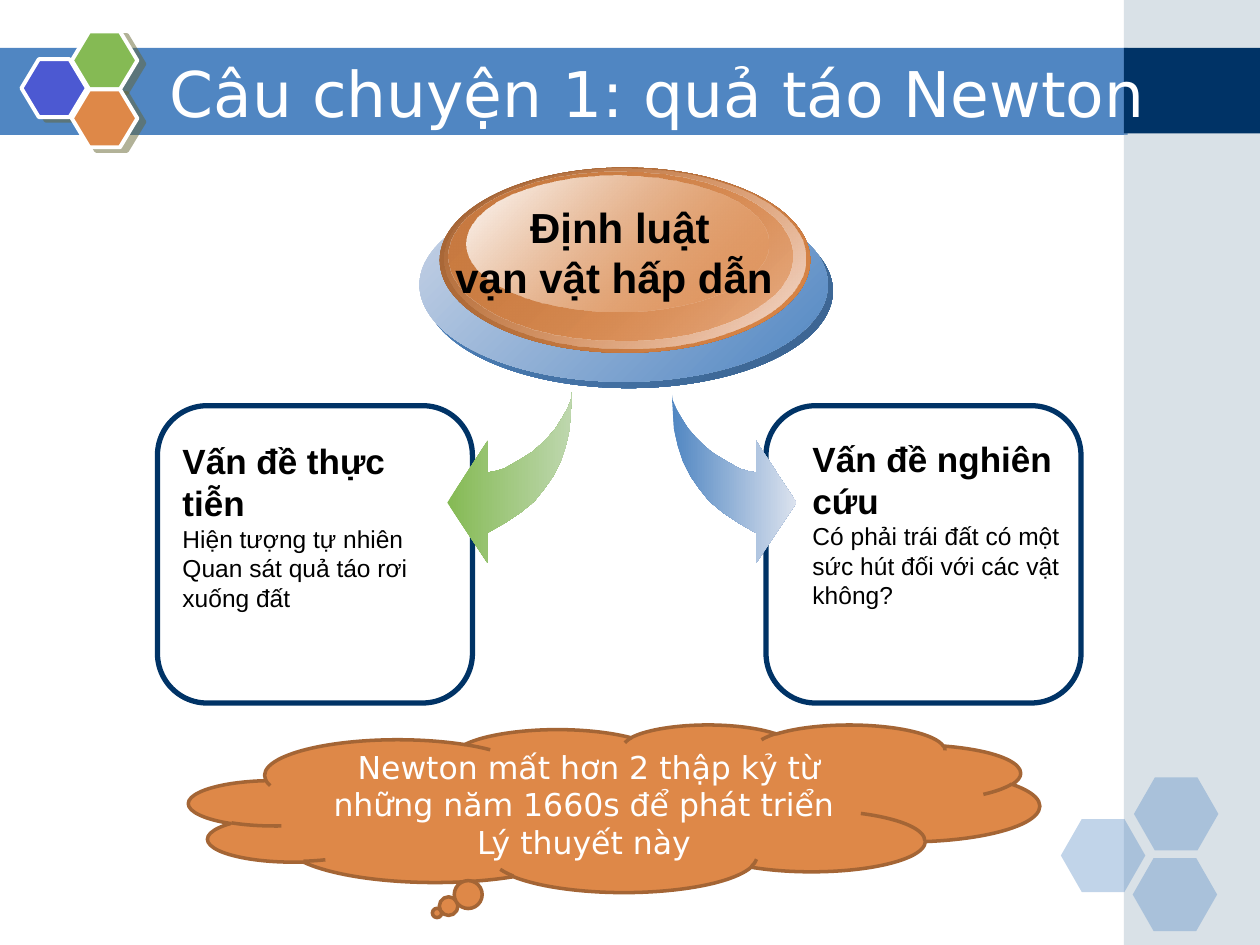
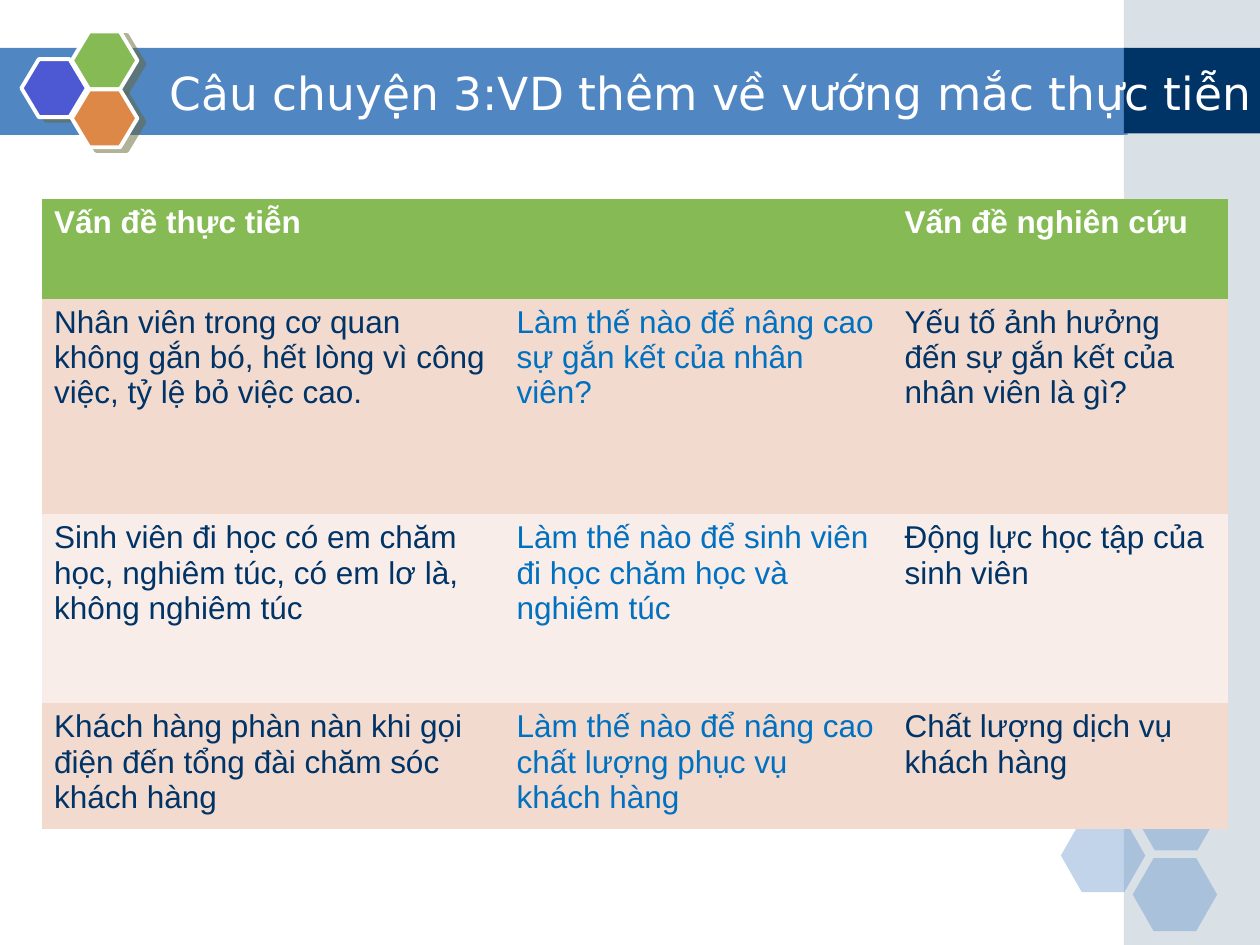
"""Build two slides on turning practical problems into research problems."""
from typing import NamedTuple, Optional

from lxml.etree import SubElement
from pptx import Presentation
from pptx.dml.color import RGBColor
from pptx.enum.shapes import MSO_SHAPE as Preset
from pptx.enum.text import MSO_ANCHOR as Anchor, MSO_AUTO_SIZE as AutoSize, PP_ALIGN as Align
from pptx.oxml.ns import qn
from pptx.util import Inches, Pt

BLUE, NAVY, GREEN, ORANGE = "5086C2", "003366", "85BA54", "DE8848"
INDIGO, WHITE, BLACK, GREY_BLUE = "4C59D2", "FFFFFF", "000000", "A0B5C4"
SHADOW, BROWN, QUESTION_BLUE = "666633", "A46535", "0070C0"
ROW_FILLS = ("F2DACF", "F9EDE9")
BODY_FONT, TITLE_FONT = "Arial", "DejaVu Sans"
NO_GRID_STYLE = "{2D5ABB26-0587-4C30-8999-92F81FD0307C}"


class Box(NamedTuple):
    """Position and size in inches."""
    left: float
    top: float
    width: float
    height: float

    def lengths(self) -> list:
        """Return the four values as lengths."""
        return [Inches(value) for value in self]


class Style(NamedTuple):
    """Look of a run of text."""
    size: float
    color: str = BLACK
    bold: bool = False
    font: str = BODY_FONT


class Stop(NamedTuple):
    """Gradient colour with its opacity in percent."""
    color: str
    opacity: int = 100


class Panel(NamedTuple):
    """Outlined box holding a heading and a description."""
    frame: Box
    text: Box
    heading: str
    description: str


class Disc(NamedTuple):
    """Ellipse layer with a diagonal gradient."""
    box: Box
    start: Stop
    end: Stop


class Arrow(NamedTuple):
    """Curved arrow: tail position, direction and gradient."""
    tail: float
    direction: int
    start: str
    end: str


CORNER_HEXAGONS = [(8.42, 6.5), (9, 6.17), (8.99, 6.81)]
LOGO_HEXAGONS = [(0.17, 0.47, INDIGO), (0.57, 0.25, GREEN), (0.57, 0.71, ORANGE)]

PANELS = [
    Panel(Box(6.08, 3.22, 2.5, 2.36), Box(6.35, 3.42, 2.23, 1.48), "Vấn đề nghiên cứu",
          "Có phải trái đất có một sức hút đối với các vật không?"),
    Panel(Box(1.25, 3.22, 2.5, 2.36), Box(1.35, 3.44, 2.23, 1.48), "Vấn đề thực tiễn",
          "Hiện tượng tự nhiên Quan sát quả táo rơi xuống đất"),
]
DISCS = [
    Disc(Box(3.37, 1.54, 3.24, 1.54), Stop(BLUE), Stop("3A628E")),
    Disc(Box(3.33, 1.49, 3.24, 1.54), Stop("CAD5E7"), Stop(BLUE)),
    Disc(Box(3.49, 1.33, 2.94, 1.47), Stop("9F6134"), Stop(ORANGE)),
    Disc(Box(3.53, 1.34, 2.86, 1.43), Stop(ORANGE, 0), Stop("F4DFD6")),
    Disc(Box(3.56, 1.36, 2.73, 1.34), Stop("C97B41"), Stop(ORANGE, 48)),
    Disc(Box(3.7, 1.39, 2.4, 1.08), Stop(WHITE), Stop(ORANGE, 38)),
]
ARROWS = [Arrow(4.54, -1, GREEN, "BED7AE"), Arrow(5.33, 1, BLUE, "DBE2EE")]
ARROW_TOP = 3.11
ARROW_OUTLINE = [
    (0, 0), (0.01, 0.16), (0.02, 0.3), (0.05, 0.43), (0.09, 0.55), (0.15, 0.67),
    (0.22, 0.77), (0.3, 0.87), (0.41, 0.96), (0.53, 1.04), (0.67, 1.12), (0.67, 1.36),
    (0.99, 0.88), (0.67, 0.39), (0.67, 0.64), (0.61, 0.63), (0.54, 0.61), (0.47, 0.57),
    (0.4, 0.53), (0.32, 0.48), (0.25, 0.42), (0.19, 0.36), (0.13, 0.29), (0.08, 0.21),
    (0.04, 0.14), (0.01, 0.07),
]

COLUMN_WIDTHS = (3.67, 3.08, 2.67)
ROW_HEIGHTS = (0.79, 1.71, 1.5, 0.45)
COLUMN_COLORS = (NAVY, QUESTION_BLUE, NAVY)
TABLE_ROWS = [
    ("Vấn đề thực tiễn", "", "Vấn đề nghiên cứu"),
    ("Nhân viên trong cơ quan không gắn bó, hết lòng vì công việc, tỷ lệ bỏ việc cao.",
     "Làm thế nào để nâng cao sự gắn kết của nhân viên?",
     "Yếu tố ảnh hưởng đến sự gắn kết của nhân viên là gì?"),
    ("Sinh viên đi học có em chăm học, nghiêm túc, có em lơ là, không nghiêm túc",
     "Làm thế nào để sinh viên đi học chăm học và nghiêm túc",
     "Động lực học tập của sinh viên"),
    ("Khách hàng phàn nàn khi gọi điện đến tổng đài chăm sóc khách hàng",
     "Làm thế nào để nâng cao chất lượng phục vụ khách hàng",
     "Chất lượng dịch vụ khách hàng"),
]


def rgb(color: str) -> RGBColor:
    """Turn a hex string into a colour."""
    return RGBColor.from_string(color)


def set_opacity(color_element, percent: int) -> None:
    """Add an alpha value to a colour element."""
    SubElement(color_element, qn("a:alpha"), val=str(percent * 1000))


def add_preset(slide, preset, box: Box, fill: Optional[str] = None, opacity: int = 100,
               line: Optional[str] = None, line_width: float = 1):
    """Add a flat preset shape with an optional fill and outline."""
    shape = slide.shapes.add_shape(preset, *box.lengths())
    shape.shadow.inherit = False
    if fill:
        shape.fill.solid()
        shape.fill.fore_color.rgb = rgb(fill)
        if opacity < 100:
            set_opacity(shape._element.spPr.find(".//" + qn("a:srgbClr")), opacity)
    else:
        shape.fill.background()
    if line:
        shape.line.color.rgb = rgb(line)
        shape.line.width = Pt(line_width)
    else:
        shape.line.fill.background()
    return shape


def fill_gradient(shape, start: Stop, end: Stop, angle: float) -> None:
    """Fill a shape with a two-colour linear gradient, angle clockwise."""
    shape.fill.gradient()
    shape.fill.gradient_angle = (360 - angle) % 360
    for gradient_stop, stop in zip(shape.fill.gradient_stops, (start, end)):
        gradient_stop.color.rgb = rgb(stop.color)
    color_elements = shape._element.spPr.findall(".//" + qn("a:srgbClr"))
    for element, stop in zip(color_elements, (start, end)):
        if stop.opacity < 100:
            set_opacity(element, stop.opacity)


def write(text_frame, text: str, *styles: Style, align=Align.LEFT) -> None:
    """Write text and style its paragraphs in turn, repeating the last style."""
    text_frame.text = text
    for index, paragraph in enumerate(text_frame.paragraphs):
        style = styles[min(index, len(styles) - 1)]
        paragraph.alignment = align
        for run in paragraph.runs:
            run.font.name = style.font
            run.font.size = Pt(style.size)
            run.font.bold = style.bold
            run.font.color.rgb = rgb(style.color)


def add_text(slide, box: Box, text: str, *styles: Style, align=Align.LEFT, wrap: bool = True):
    """Add a text box that grows with its text."""
    text_frame = slide.shapes.add_textbox(*box.lengths()).text_frame
    text_frame.word_wrap = wrap
    text_frame.auto_size = AutoSize.SHAPE_TO_FIT_TEXT
    write(text_frame, text, *styles, align=align)
    return text_frame


def add_hexagon(slide, box: Box, adjustment: float, fill: str, **look):
    """Add a hexagon with the given corner depth."""
    hexagon = add_preset(slide, Preset.HEXAGON, box, fill, **look)
    hexagon.adjustments[0] = adjustment
    return hexagon


def add_hard_shadow(shape) -> None:
    """Give a shape a sharp, half transparent shadow."""
    effects = shape._element.spPr.find(qn("a:effectLst"))
    shadow = SubElement(effects, qn("a:outerShdw"), blurRad="0", dist=str(Pt(4.5)),
                        dir=str(27 * 60000), algn="ctr", rotWithShape="0")
    set_opacity(SubElement(shadow, qn("a:srgbClr"), val=SHADOW), 50)


def add_base_slide(presentation, title: str, title_size: float):
    """Add a slide with the shared band, side column, hexagons and title."""
    slide = presentation.slides.add_slide(presentation.slide_layouts[6])
    add_preset(slide, Preset.RECTANGLE, Box(0, 0.38, 8.95, 0.69), BLUE)
    add_preset(slide, Preset.RECTANGLE, Box(8.92, 0, 1.08, 7.5), GREY_BLUE, opacity=40)
    add_preset(slide, Preset.RECTANGLE, Box(8.92, 0.38, 1.08, 0.68), NAVY)
    for left, top in CORNER_HEXAGONS:
        add_hexagon(slide, Box(left, top, 0.67, 0.58), 0.286, BLUE, opacity=35)
    for left, top, color in LOGO_HEXAGONS:
        add_hard_shadow(add_hexagon(slide, Box(left, top, 0.52, 0.46), 0.3, color,
                                    line=WHITE, line_width=2.25))
    text_frame = add_text(slide, Box(1.25, 0.42, 8.75, 0.62), title,
                          Style(title_size, WHITE, font=TITLE_FONT))
    text_frame.auto_size = AutoSize.NONE
    text_frame.vertical_anchor = Anchor.MIDDLE
    text_frame.margin_right = 0
    return slide


def add_arrow(slide, arrow: Arrow) -> None:
    """Draw a curved arrow pointing to one side."""
    points = [(Inches(arrow.tail + arrow.direction * x), Inches(ARROW_TOP + y))
              for x, y in ARROW_OUTLINE]
    builder = slide.shapes.build_freeform(*points[0])
    builder.add_line_segments(points[1:], close=True)
    shape = builder.convert_to_shape()
    shape.shadow.inherit = False
    shape.line.fill.background()
    fill_gradient(shape, Stop(arrow.start), Stop(arrow.end), 0)


def add_newton_slide(presentation) -> None:
    """Add the story of Newton and the apple."""
    slide = add_base_slide(presentation, "Câu chuyện 1: quả táo Newton", 36)
    for panel in PANELS:
        add_preset(slide, Preset.ROUNDED_RECTANGLE, panel.frame, line=NAVY, line_width=3)
    for arrow in ARROWS:
        add_arrow(slide, arrow)
    for disc in DISCS:
        fill_gradient(add_preset(slide, Preset.OVAL, disc.box), disc.start, disc.end, 45)
    add_text(slide, Box(3.5, 1.55, 2.84, 0.91), "Định luật\nvạn vật hấp dẫn ",
             Style(24, bold=True), align=Align.CENTER, wrap=False)
    for panel in PANELS:
        add_text(slide, panel.text, f"{panel.heading}\n{panel.description}",
                 Style(20, bold=True), Style(14))
    cloud = add_preset(slide, Preset.CLOUD_CALLOUT, Box(1.5, 5.75, 6.75, 1.33), ORANGE,
                       line=BROWN, line_width=2)
    cloud.text_frame.vertical_anchor = Anchor.MIDDLE
    write(cloud.text_frame,
          " Newton mất hơn 2 thập kỷ từ những năm 1660s để phát triển Lý thuyết này",
          Style(18, WHITE, font=TITLE_FONT), align=Align.CENTER)


def add_examples_slide(presentation) -> None:
    """Add the table of practical and research problems."""
    slide = add_base_slide(presentation, "Câu chuyện 3:VD thêm về vướng mắc thực tiễn", 26)
    box = Box(0.33, 1.58, sum(COLUMN_WIDTHS), sum(ROW_HEIGHTS))
    table = slide.shapes.add_table(len(ROW_HEIGHTS), len(COLUMN_WIDTHS), *box.lengths()).table
    table._tbl.tblPr.find(qn("a:tableStyleId")).text = NO_GRID_STYLE
    table.horz_banding = False
    for column, width in zip(table.columns, COLUMN_WIDTHS):
        column.width = Inches(width)
    for row_index, (row, height) in enumerate(zip(table.rows, ROW_HEIGHTS)):
        row.height = Inches(height)
        header = row_index == 0
        for cell, text, color in zip(row.cells, TABLE_ROWS[row_index], COLUMN_COLORS):
            cell.fill.solid()
            cell.fill.fore_color.rgb = rgb(GREEN if header else ROW_FILLS[(row_index - 1) % 2])
            write(cell.text_frame, text, Style(18, WHITE if header else color, header))


def main() -> None:
    """Build and save the presentation."""
    presentation = Presentation()
    presentation.slide_width = Inches(10)
    presentation.slide_height = Inches(7.5)
    add_newton_slide(presentation)
    add_examples_slide(presentation)
    presentation.save("out.pptx")


if __name__ == "__main__":
    main()
